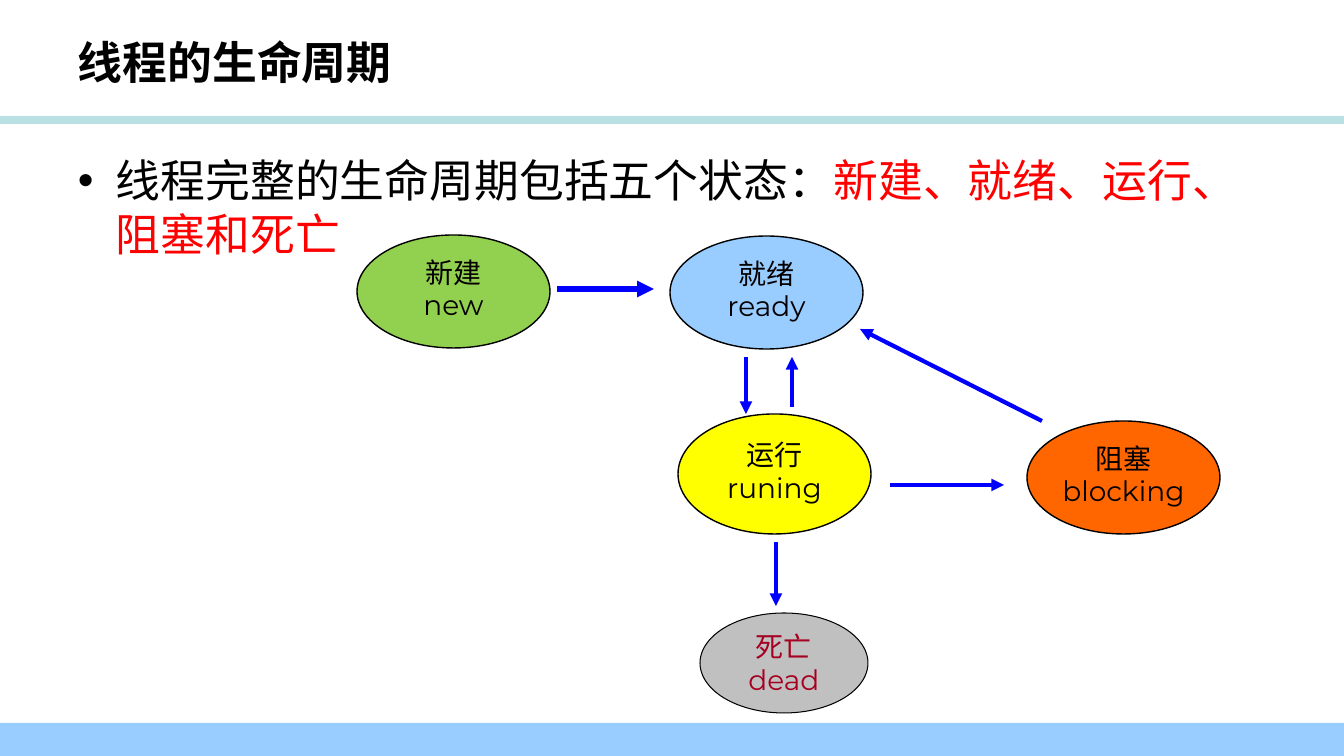
from lxml.etree import SubElement
from pptx import Presentation
from pptx.dml.color import RGBColor
from pptx.enum.shapes import MSO_CONNECTOR, MSO_SHAPE
from pptx.enum.text import MSO_ANCHOR, PP_ALIGN
from pptx.oxml.ns import qn
from pptx.util import Pt

EMU_PER_PIXEL = 914400 / 100.8
SLIDE_WIDTH, SLIDE_HEIGHT = 1344, 756

BLACK = RGBColor(0x00, 0x00, 0x00)
RED = RGBColor(0xFF, 0x00, 0x00)
STATE_TEXT = RGBColor(0x04, 0x00, 0x00)
DEAD_TEXT = RGBColor(0xA5, 0x00, 0x21)
ARROW_BLUE = RGBColor(0x00, 0x00, 0xFF)
RULE_TEAL = RGBColor(0xBB, 0xE0, 0xE3)
SKY_BLUE = RGBColor(0x99, 0xCC, 0xFF)
GREEN = RGBColor(0x92, 0xD0, 0x50)
YELLOW = RGBColor(0xFF, 0xFF, 0x00)
ORANGE = RGBColor(0xFF, 0x66, 0x00)
GREY = RGBColor(0xC0, 0xC0, 0xC0)

HEADING_FONT = "Noto Sans CJK SC"
STATE_FONT = "Montserrat"


def pixels(*lengths):
    """Turn pixel lengths into EMU."""
    return [round(length * EMU_PER_PIXEL) for length in lengths]


class StateSlide:
    """Holds the current slide and draws its elements in one style."""

    def __init__(self, slide):
        """Keep the slide to draw on."""
        self.slide = slide

    def run(self, paragraph, text, font_name, size, color, bold=False):
        """Add one styled run to a paragraph."""
        run = paragraph.add_run()
        run.text = text
        run.font.name = font_name
        run.font.size = Pt(size)
        run.font.bold = bold
        run.font.color.rgb = color
        SubElement(run.font._element, qn("a:ea"), typeface=STATE_FONT)

    def shape(self, kind, box, fill):
        """Add a filled shape without outline or shadow."""
        shape = self.slide.shapes.add_shape(kind, *pixels(*box))
        shape.shadow.inherit = False
        shape.fill.solid()
        shape.fill.fore_color.rgb = fill
        shape.line.fill.background()
        return shape

    def band(self, top, height, fill):
        """Add a band across the whole slide."""
        self.shape(MSO_SHAPE.RECTANGLE, (0, top, SLIDE_WIDTH, height), fill)

    def text(self, box, parts, bold=False, bullet_indent=0):
        """Add a text box with one paragraph of coloured parts."""
        frame = self.slide.shapes.add_textbox(*pixels(*box)).text_frame
        frame.word_wrap = True
        paragraph = frame.paragraphs[0]
        for content, color in parts:
            self.run(paragraph, content, HEADING_FONT, 32, color, bold)
        if bullet_indent:
            properties = paragraph._p.get_or_add_pPr()
            indent = pixels(bullet_indent)[0]
            properties.set("marL", str(indent))
            properties.set("indent", str(-indent))
            SubElement(properties, qn("a:buFont"), typeface="Arial")
            SubElement(properties, qn("a:buChar"), char="•")

    def state(self, box, fill, names, color=STATE_TEXT, line_width=1, tight=True):
        """Add a thread state: an ellipse with one name per line."""
        ellipse = self.shape(MSO_SHAPE.OVAL, box, fill)
        ellipse.line.color.rgb = BLACK
        ellipse.line.width = Pt(line_width)
        frame = ellipse.text_frame
        frame.word_wrap = False
        frame.vertical_anchor = MSO_ANCHOR.MIDDLE
        for index, name in enumerate(names):
            paragraph = frame.add_paragraph() if index else frame.paragraphs[0]
            paragraph.alignment = PP_ALIGN.CENTER
            if tight:
                paragraph.line_spacing = 0.8
                paragraph.space_before = Pt(4)
            self.run(paragraph, name, STATE_FONT, 20, color)

    def arrow(self, start, end, width=3):
        """Add a transition arrow from start to end."""
        connector = self.slide.shapes.add_connector(
            MSO_CONNECTOR.STRAIGHT, *pixels(*start, *end))
        connector.line.color.rgb = ARROW_BLUE
        connector.line.width = Pt(width)
        SubElement(connector.line._get_or_add_ln(), qn("a:tailEnd"), type="triangle")
        SubElement(connector._element.spPr, qn("a:effectLst"))


def main():
    """Build the thread life cycle slide."""
    presentation = Presentation()
    presentation.slide_width, presentation.slide_height = pixels(SLIDE_WIDTH, SLIDE_HEIGHT)
    page = StateSlide(presentation.slides.add_slide(presentation.slide_layouts[6]))

    page.band(116, 8, RULE_TEAL)
    page.band(723, 33, SKY_BLUE)
    page.text((68, 30, 1075, 88), [("线程的生命周期", BLACK)], bold=True)
    page.text((68, 148, 1210, 499),
              [("线程完整的生命周期包括五个状态：", BLACK),
               ("新建、就绪、运行、阻塞和死亡", RED)], bullet_indent=38)

    page.state((670, 236, 193, 113), SKY_BLUE, ("就绪", "ready"))
    page.state((678, 414, 193, 120), YELLOW, ("运行", "runing"))
    page.state((1027, 421, 193, 113), ORANGE, ("阻塞", "blocking"))
    page.state((700, 613, 168, 100), GREY, ("死亡", "dead"), DEAD_TEXT, 0.75, tight=False)
    page.state((357, 235, 193, 113), GREEN, ("新建", "new"))

    page.arrow((557, 289), (654, 289), width=4)
    for start, end in (
        ((746, 357), (746, 414)),
        ((792, 407), (792, 357)),
        ((776, 542), (776, 606)),
        ((890, 485), (1004, 485)),
        ((1042, 421), (860, 329)),
    ):
        page.arrow(start, end)

    presentation.save("out.pptx")


main()
